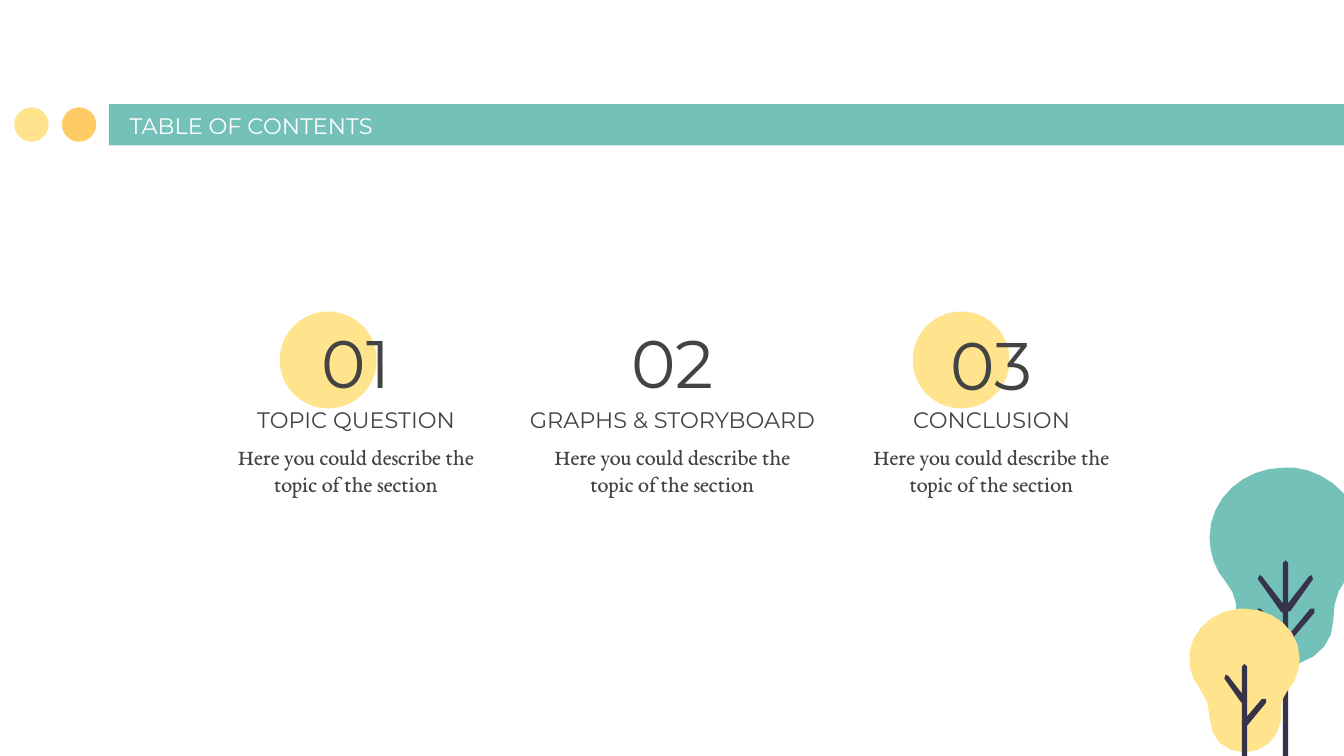
import math
import pptx
import pptx.util
import pptx.dml.color
import pptx.enum.shapes
import pptx.enum.text

Cm = pptx.util.Cm
ANCHOR = pptx.enum.text.MSO_ANCHOR
ALIGN = pptx.enum.text.PP_ALIGN
KIND = pptx.enum.shapes.MSO_SHAPE
HUE = {"teal": "74C1B9", "yellow": "FFE48D", "orange": "FFCB64",
       "ink": "373449", "gray": "434343", "white": "FFFFFF"}

deck = pptx.Presentation()
deck.slide_width, deck.slide_height = Cm(25.4), Cm(14.29)
slide = deck.slides.add_slide(deck.slide_layouts[6])
shapes = slide.shapes


def paint(shape, hue):
    shape.shadow.inherit = False
    shape.fill.solid()
    shape.fill.fore_color.rgb = pptx.dml.color.RGBColor.from_string(HUE[hue])
    shape.line.fill.background()


def write(words, box, size, font, hue, anchor, align):
    frame = shapes.add_textbox(*[Cm(n) for n in box]).text_frame
    frame.word_wrap = True
    frame.vertical_anchor = anchor
    frame.margin_left = frame.margin_right = Cm(0.25)
    frame.margin_top = frame.margin_bottom = Cm(0.25)
    line = frame.paragraphs[0]
    line.alignment = align
    run = line.add_run()
    run.text = words
    run.font.size = pptx.util.Pt(size)
    run.font.name = font
    run.font.color.rgb = pptx.dml.color.RGBColor.from_string(HUE[hue])


# Title band
paint(shapes.add_shape(KIND.RECTANGLE, Cm(2.06), Cm(1.97), Cm(24.13), Cm(0.78)), "teal")

# Dots beside the band, then the discs behind 03 and 01
for left, top, side, hue in [(1.17, 2.03, 0.65, "orange"), (0.27, 2.03, 0.65, "yellow"),
                             (17.25, 5.89, 1.83, "yellow"), (5.29, 5.89, 1.83, "yellow")]:
    paint(shapes.add_shape(KIND.OVAL, Cm(left), Cm(top), Cm(side), Cm(side)), hue)

write("TABLE OF CONTENTS", (2.2, 2.01, 13.92, 0.86), 12, "Montserrat", "white",
      ANCHOR.BOTTOM, ALIGN.LEFT)

# Three topics, each centred on its column
topics = [("01", "TOPIC QUESTION", 6.73, 6.03),
          ("02", "GRAPHS & STORYBOARD", 12.71, 6.03),
          ("03", "CONCLUSION", 18.74, 6.08)]
for num, head, mid, top in topics:
    write(num, (mid - 2.44, top, 4.88, 1.6), 36, "Montserrat", "gray",
          ANCHOR.MIDDLE, ALIGN.CENTER)
    write(head, (mid - 3.25, 6.83, 6.5, 1.6), 12, "Montserrat", "gray",
          ANCHOR.BOTTOM, ALIGN.CENTER)
    write("Here you could describe the topic of the section", (mid - 2.64, 8.13, 5.28, 1.7),
          12, "EB Garamond", "gray", ANCHOR.TOP, ALIGN.CENTER)

# Trees in hundredths of an inch: a pair is a corner, six numbers are a Bézier curve
big_crown = [
    (956, 348), (925, 348, 900, 371, 900, 400), (900, 412, 904, 424, 912, 433),
    (918, 440, 921, 449, 920, 458), (920, 463),
    (920, 481, 937, 495, 956, 495), (976, 495, 992, 480, 992, 462),
    (992, 449, 995, 439, 1001, 432), (1010, 421, 1014, 407, 1012, 394),
    (1009, 370, 988, 351, 963, 348)]
big_trunk = [
    (956.5, 417), (954.5, 419), (954.5, 449), (939, 429), (937, 428), (936, 431),
    (953, 455), (954.5, 456), (954.5, 473), (938, 453), (936, 453), (935, 456),
    (954.5, 479), (954.5, 584), (956.5, 586), (958.5, 584), (958.5, 479),
    (978, 456), (978, 453), (975, 453), (958.5, 473), (958.5, 455), (960, 455),
    (977, 431), (976, 428), (974, 429), (958.5, 449), (958.5, 419)]
small_crown = [
    (921, 453), (902, 455, 887, 469, 885, 486),
    (884, 496, 887, 506, 893, 513), (898, 519, 900, 526, 900, 534),
    (900, 549, 911, 560, 926, 560), (940, 560, 952, 549, 953, 536),
    (952, 526, 954, 519, 958, 514),
    (964, 508, 967, 499, 967, 490), (967, 469, 948, 453, 926, 453)]
small_trunk = [
    (926, 494), (924, 496), (924, 516), (914, 503), (912, 502), (911, 505),
    (923, 522), (924, 523), (924, 593), (926, 595), (928, 593), (928, 540),
    (942, 523), (942, 520), (939, 520), (928, 533), (928, 496)]
for outline, hue in [(big_crown, "teal"), (big_trunk, "ink"),
                     (small_crown, "yellow"), (small_trunk, "ink")]:
    dots = [outline[0]]
    for step in outline[1:]:
        if len(step) == 2:
            dots.append(step)
            continue
        ends = [dots[-1], step[:2], step[2:4], step[4:]]
        parts = max(2, round(math.dist(ends[0], ends[3]) / 9))
        for k in range(1, parts + 1):
            t = k / parts
            mix = ((1 - t) ** 3, 3 * t * (1 - t) ** 2, 3 * t * t * (1 - t), t ** 3)
            dots.append([sum(m * e[axis] for m, e in zip(mix, ends)) for axis in (0, 1)])
    dots = [(Cm(x * 2.54 / 100), Cm(y * 2.54 / 100)) for x, y in dots]
    pen = shapes.build_freeform(*dots[0])
    pen.add_line_segments(dots[1:], close=True)
    paint(pen.convert_to_shape(), hue)

deck.save("out.pptx")
